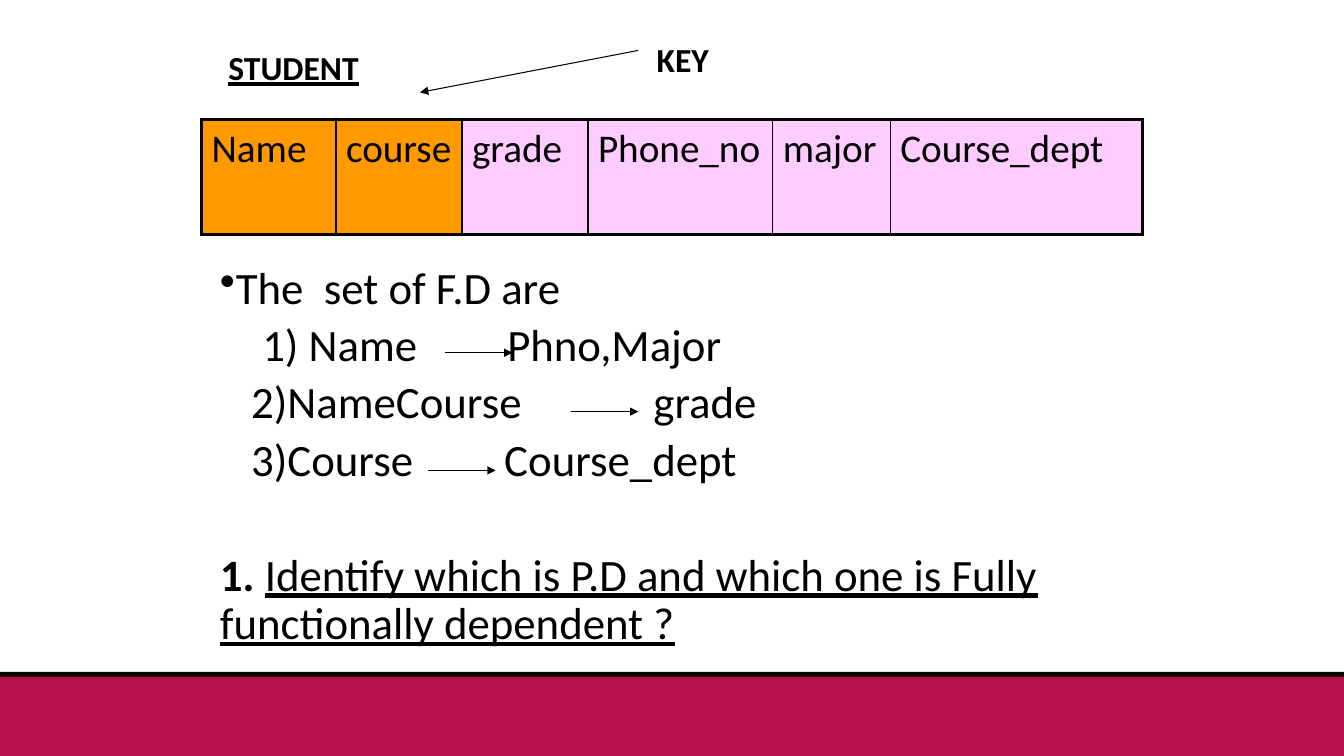
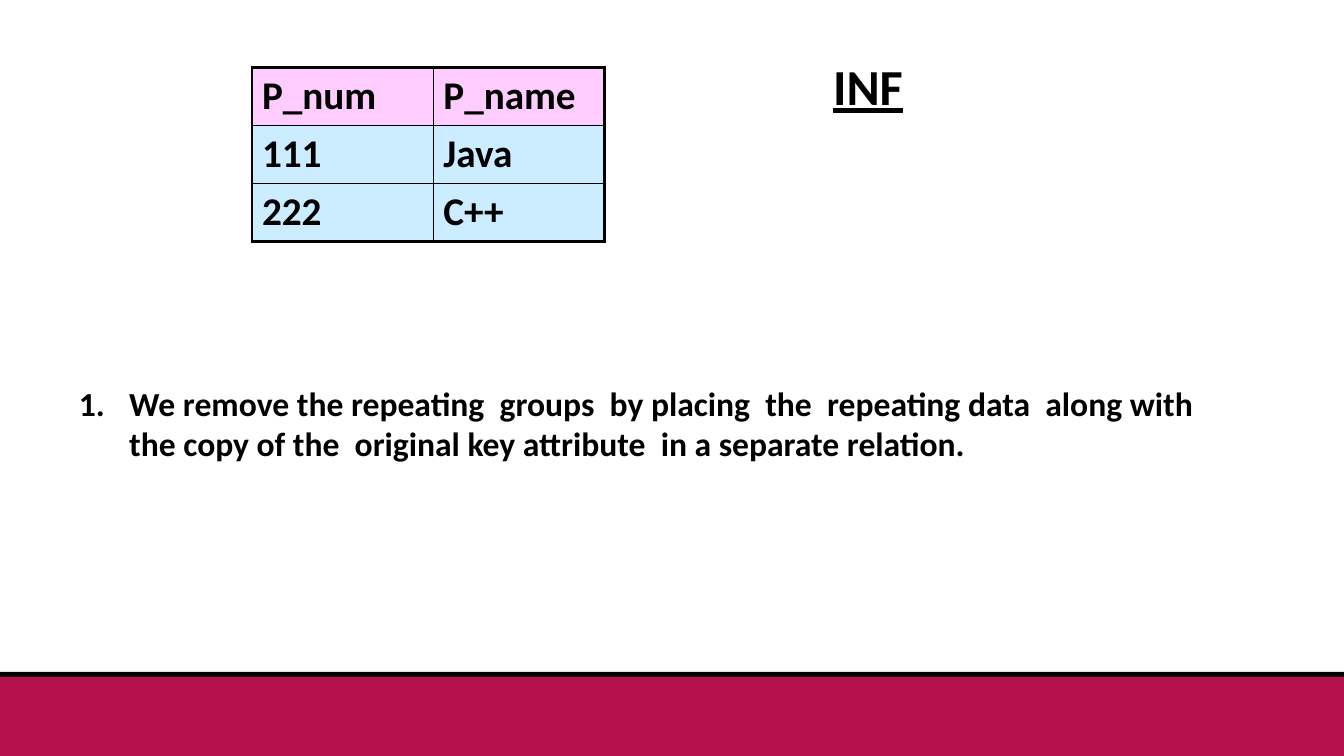
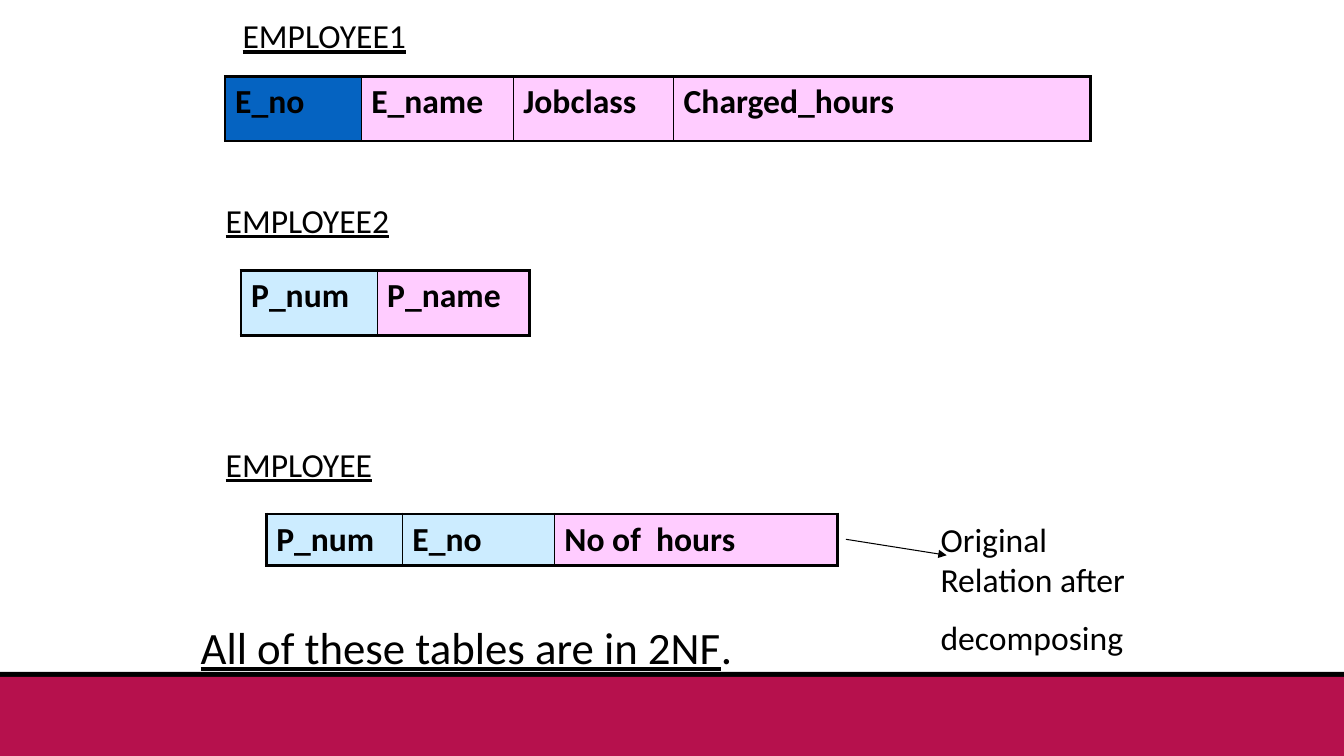
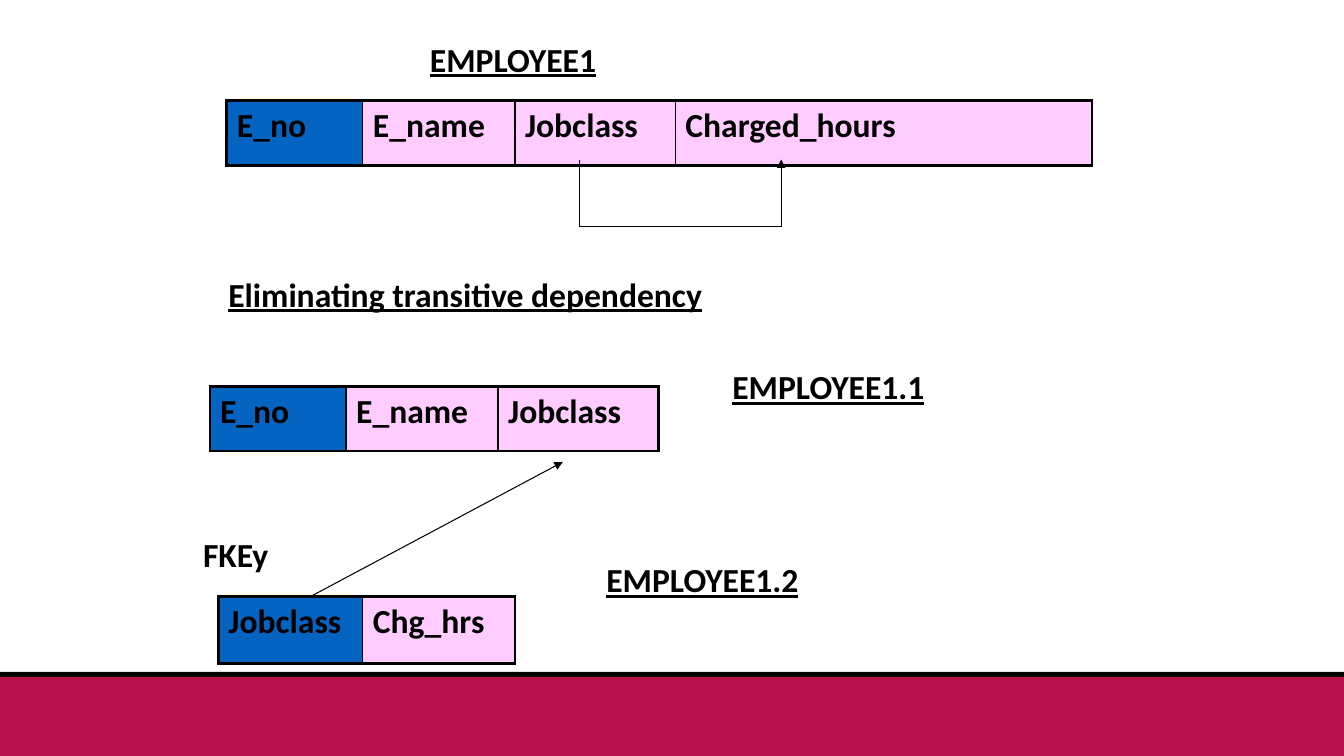
from dataclasses import dataclass

from lxml.etree import SubElement
from pptx import Presentation
from pptx.dml.color import RGBColor
from pptx.enum.shapes import MSO_CONNECTOR, MSO_SHAPE
from pptx.oxml import parse_xml
from pptx.oxml.ns import nsdecls, qn
from pptx.util import Inches, Pt


@dataclass(frozen=True)
class Theme:
    font: str = "Calibri"
    ink: RGBColor = RGBColor.from_string("000000")
    band: RGBColor = RGBColor.from_string("B6114D")
    pink: RGBColor = RGBColor.from_string("FFCCFF")
    pale: RGBColor = RGBColor.from_string("CCECFF")
    blue: RGBColor = RGBColor.from_string("0563C1")
    orange: RGBColor = RGBColor.from_string("FF9900")
    label: int = 24
    cell: int = 28
    body: int = 32
    heading: int = 36
    outer_border: float = 2.25
    inner_border: float = 1
    arrow: float = 0.75


theme = Theme()
presentation = Presentation()
presentation.slide_width = Inches(13.33)
presentation.slide_height = Inches(7.5)
COLUMN = presentation.slide_width / 160
ROW = presentation.slide_height / 90


def add_text(slide, left, top, width, height, lines, size=theme.label,
             bold=False, underline=False, formats=()):
    box = slide.shapes.add_textbox(int(left * COLUMN), int(top * ROW),
                                   int(width * COLUMN), int(height * ROW))
    box.text_frame.word_wrap = True
    box.text_frame.text = "\n".join(lines)
    paragraphs = box.text_frame.paragraphs
    for paragraph, markup in zip(paragraphs, formats):
        properties = paragraph._p.get_or_add_pPr()
        properties.append(parse_xml(markup))
    for paragraph in paragraphs:
        paragraph.font.name = theme.font
        paragraph.font.size = Pt(size)
        paragraph.font.bold = bold
        paragraph.font.underline = underline
        paragraph.font.color.rgb = theme.ink
    return paragraphs


def add_grid(slide, left, top, widths, row_height, rows, fills, size=theme.label, bold=True):
    table = slide.shapes.add_table(len(rows), len(widths), int(left * COLUMN), int(top * ROW),
                                   int(sum(widths) * COLUMN),
                                   int(row_height * len(rows) * ROW)).table
    table.first_row = table.horz_banding = False
    for column, width in zip(table.columns, widths):
        column.width = int(width * COLUMN)
    for row_index, texts in enumerate(rows):
        table.rows[row_index].height = int(row_height * ROW)
        for column_index, text in enumerate(texts):
            cell = table.cell(row_index, column_index)
            cell.text = text
            font = cell.text_frame.paragraphs[0].font
            font.name, font.size, font.bold = theme.font, Pt(size), bold
            font.color.rgb = theme.ink
            cell.fill.solid()
            cell.fill.fore_color.rgb = fills[row_index][column_index]
            outside = {"L": column_index == 0, "R": column_index == len(widths) - 1,
                       "T": row_index == 0, "B": row_index == len(rows) - 1}
            for position, (side, is_outer) in enumerate(outside.items()):
                weight = Pt(theme.outer_border if is_outer else theme.inner_border)
                cell._tc.get_or_add_tcPr().insert(position, parse_xml(
                    f'<a:ln{side} {nsdecls("a")} w="{weight}"><a:solidFill>'
                    f'<a:srgbClr val="{theme.ink}"/></a:solidFill></a:ln{side}>'))


slides = []
for _ in range(4):
    slide = presentation.slides.add_slide(presentation.slide_layouts[6])
    for top, color in ((80, theme.ink), (80.6, theme.band)):
        band = slide.shapes.add_shape(MSO_SHAPE.RECTANGLE, 0, int(top * ROW),
                                      presentation.slide_width, int((90 - top) * ROW))
        band.shadow.inherit = False
        band.fill.solid()
        band.fill.fore_color.rgb = color
        band.line.fill.background()
    slides.append(slide)
student, first_form, second_form, third_form = slides

add_grid(student, 24, 14.25, [16, 15, 15, 22, 14, 30], 13.7,
         [["Name", "course", "grade", "Phone_no", "major", "Course_dept"]],
         [[theme.orange] * 2 + [theme.pink] * 4], theme.cell, False)
add_grid(first_form, 30, 8, [21.6, 20.4], 6.86,
         [["P_num", "P_name"], ["111", "Java"], ["222", "C++"]],
         [[theme.pink] * 2, [theme.pale] * 2, [theme.pale] * 2], theme.cell)

NUMBER, NAME, JOB, HOURS = 16.2, 18.1, 19.1, 49.6
employee_fields = ["E_no", "E_name", "Jobclass", "Charged_hours"]
employee_widths = [NUMBER, NAME, JOB, HOURS]
for slide, left, top, widths, height, fields, keys in (
    (second_form, 26.8, 9.1, employee_widths, 7.7, employee_fields, [theme.blue]),
    (second_form, 28.7, 32.2, [NUMBER, NAME], 7.7, ["P_num", "P_name"], [theme.pale]),
    (second_form, 31.7, 61.2, [NUMBER, NAME, 33.7], 6, ["P_num", "E_no", "No of  hours"],
     [theme.pale] * 2),
    (third_form, 27, 12, employee_widths, 7.7, employee_fields, [theme.blue]),
    (third_form, 25, 46, employee_widths[:3], 7.7, employee_fields[:3], [theme.blue]),
    (third_form, 26, 71, [17.2, NAME], 8, ["Jobclass", "Chg_hrs"], [theme.blue]),
):
    add_grid(slide, left, top, widths, height, [fields],
             [keys + [theme.pink] * (len(fields) - len(keys))])

for slide, left, top, width, text, bold, underline in (
    (student, 26, 5, 38, "STUDENT", True, True),
    (student, 77, 4, 38, "KEY", True, False),
    (second_form, 27.7, 1.2, 32, "EMPLOYEE1", False, True),
    (second_form, 25.7, 23.2, 32, "EMPLOYEE2", False, True),
    (second_form, 25.7, 52.2, 32, "EMPLOYEE", False, True),
    (third_form, 50, 4, 28, "EMPLOYEE1", True, True),
    (third_form, 26, 32, 100, "Eliminating transitive dependency", True, True),
    (third_form, 86, 43, 38, "EMPLOYEE1.1", True, True),
    (third_form, 71, 66, 38, "EMPLOYEE1.2", True, True),
    (third_form, 23, 63, 15, "FKEy", True, False),
):
    add_text(slide, left, top, width, 6, [text], bold=bold, underline=underline)

bullet = f'<a:buChar {nsdecls("a")} char="•"/>'
tab_lists = [
    f'<a:tabLst {nsdecls("a")}>'
    + "".join(f'<a:tab pos="{Inches(stop)}" algn="l"/>' for stop in stops)
    + "</a:tabLst>"
    for stops in ((0.42, 2.85), (0.31, 4.3), (0.31, 2.82))
]
dependencies = add_text(
    student, 25, 31, 105, 49,
    ["The  set of F.D are", "\t1) Name\tPhno,Major", "\t2)NameCourse\tgrade",
     "\t3)Course\tCourse_dept", "1. "],
    theme.body, formats=[bullet] + tab_lists)
for paragraph in dependencies:
    paragraph.line_spacing = 0.9
for paragraph in dependencies[1:]:
    paragraph.space_before = Pt(6.4)
question = dependencies[-1]
question.space_before = Pt(47.5)
question.runs[0].font.bold = True
question_run = question.add_run()
question_run.text = "Identify which is P.D and which one is Fully functionally dependent ?"
question_run.font.underline = True

add_text(first_form, 98, 6, 29, 8.5, ["INF"], theme.heading, True, True)
rule = add_text(
    first_form, 8.2, 45, 138.7, 18,
    ["We remove the repeating  groups  by placing  the  repeating data  along with "
     "the copy of the  original key attribute  in a separate relation."],
    bold=True, formats=[f'<a:buAutoNum {nsdecls("a")} type="arabicPeriod"/>'])[0]
rule_properties = rule._p.get_or_add_pPr()
rule_properties.set("marL", str(Inches(0.5)))
rule_properties.set("indent", str(Inches(-0.5)))

note = add_text(second_form, 110.8, 61.2, 26, 18, ["Original Relation after", "decomposing"])
note[1].space_before = Pt(12)
conclusion = add_text(second_form, 22.7, 73.2, 74, 7.5, ["All of these tables are in 2NF"],
                      theme.body)[0]
conclusion.runs[0].font.underline = True
conclusion.add_run().text = "."

for slide, start, end, has_head in (
    (student, (53, 42), (61, 42), True),
    (student, (68, 49), (76, 49), True),
    (student, (51, 56), (59, 56), True),
    (student, (76, 6), (50, 11), True),
    (second_form, (100.7, 64.2), (112.7, 66.1), True),
    (third_form, (69, 19), (69, 27), False),
    (third_form, (69, 27), (93, 27), False),
    (third_form, (93, 27), (93, 19), True),
    (third_form, (37, 71), (67, 55), True),
):
    line = slide.shapes.add_connector(
        MSO_CONNECTOR.STRAIGHT, int(start[0] * COLUMN), int(start[1] * ROW),
        int(end[0] * COLUMN), int(end[1] * ROW))
    line.line.color.rgb = theme.ink
    line.line.width = Pt(theme.arrow)
    if has_head:
        SubElement(line.line._get_or_add_ln(), qn("a:tailEnd"), type="triangle")
    SubElement(line._element.spPr, qn("a:effectLst"))

presentation.save("out.pptx")
